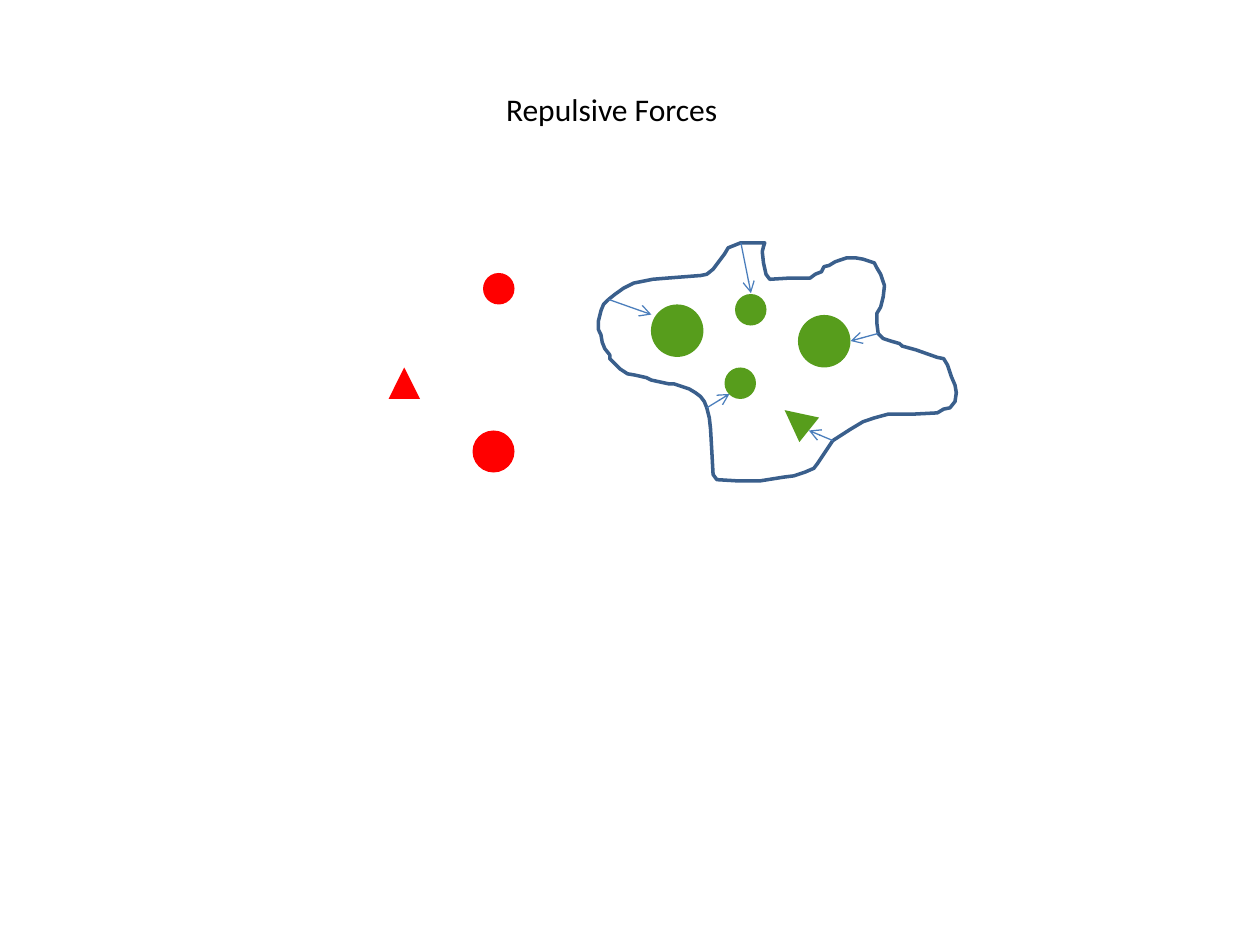
from dataclasses import dataclass

from lxml import etree
from pptx import Presentation
from pptx import util as u
from pptx.dml.color import RGBColor
from pptx.enum import shapes, text
from pptx.oxml.ns import qn

CELL = u.Inches(1) / 12
OVAL = shapes.MSO_SHAPE.OVAL
TRIANGLE = shapes.MSO_SHAPE.ISOSCELES_TRIANGLE


@dataclass(frozen=True)
class Theme:
    """Colours, font and sizes of the slide."""
    ink: RGBColor = RGBColor(0, 0, 0)
    outside: RGBColor = RGBColor(0xFF, 0, 0)
    inside: RGBColor = RGBColor(0x57, 0x9D, 0x1C)
    contour: RGBColor = RGBColor(0x3A, 0x5F, 0x8C)
    force: RGBColor = RGBColor(0x4B, 0x7E, 0xBC)
    font: str = "Calibri"
    title_size: u.Pt = u.Pt(18)
    contour_width: u.Pt = u.Pt(2)
    force_width: u.Pt = u.Pt(0.75)


@dataclass(frozen=True)
class Box:
    """A region in columns and rows of the slide grid."""
    column: float
    row: float
    columns: float
    rows: float

    def place(self, column, row):
        """Return the slide position of a cell within the box."""
        return round((self.column + column) * CELL), round((self.row + row) * CELL)


THEME = Theme()
TITLE_BOX = Box(47, 8, 22.8, 8.5)
OUTSIDE_BOX = Box(37, 26, 12, 19)
CONTOUR_BOX = Box(57, 23, 34, 23)
UNITS_PER_CELL = 100 / 12

OUTSIDE_MARKS = [
    (OVAL, 9, 0, 3, 0),
    (OVAL, 8, 15, 4, 0),
    (TRIANGLE, 0, 9, 3, 0),
]
INSIDE_MARKS = [
    (OVAL, 12, 12, 3, 0),
    (OVAL, 5, 6, 5, 0),
    (TRIANGLE, 17.4, 15.5, 3, 308.7),
    (OVAL, 13, 5, 3, 0),
    (OVAL, 19, 7, 5, 0),
]
CONTOUR = [
    (132, 1), (131, 4), (130, 8), (131, 17), (133, 26), (136, 30), (152, 29),
    (168, 29), (172, 26), (177, 24), (179, 20), (183, 19), (188, 16), (197, 13),
    (204, 13), (210, 14), (219, 17), (221, 21), (224, 26), (227, 35), (226, 44),
    (224, 52), (221, 57), (221, 65), (222, 73), (226, 77), (232, 79), (239, 81),
    (241, 83), (252, 86), (269, 92), (274, 93), (277, 98), (280, 107), (283, 114),
    (284, 120), (283, 127), (279, 132), (274, 133), (269, 136), (250, 137),
    (230, 137), (219, 140), (210, 143), (200, 149), (186, 158), (174, 176),
    (171, 180), (164, 183), (155, 186), (147, 187), (128, 190), (111, 190),
    (94, 189), (91, 185), (90, 167), (89, 149), (88, 140), (86, 132), (84, 127),
    (81, 123), (77, 120), (72, 117), (60, 113), (56, 113), (42, 110), (38, 108),
    (29, 106), (23, 105), (17, 101), (13, 97), (9, 93), (9, 90), (5, 85), (3, 80),
    (2, 74), (0, 70), (0, 63), (2, 55), (4, 50), (8, 46), (13, 42), (20, 37),
    (28, 33), (33, 32), (43, 30), (55, 29), (81, 27), (86, 26), (91, 22), (97, 14),
    (100, 10), (103, 5), (108, 3), (113, 1), (123, 1),
]
FORCES = [
    ((113, 1), (121, 41)),
    ((8, 46), (42, 58)),
    ((86, 132), (104, 121)),
    ((186, 158), (167, 150)),
    ((222, 73), (200, 79)),
]


def add_title(slide, box, words):
    """Place the title placeholder in its box."""
    title = slide.shapes.title
    title.left, title.top = box.place(0, 0)
    title.width, title.height = round(box.columns * CELL), round(box.rows * CELL)
    frame = title.text_frame
    frame.text = words
    frame.word_wrap = False
    frame.auto_size = text.MSO_AUTO_SIZE.NONE
    frame.vertical_anchor = text.MSO_ANCHOR.TOP
    paragraph = frame.paragraphs[0]
    paragraph.alignment = text.PP_ALIGN.LEFT
    font = paragraph.runs[0].font
    font.name, font.size = THEME.font, THEME.title_size
    font.color.rgb = THEME.ink


def add_marks(group, box, marks, color):
    """Place solid marks on the cells of a box."""
    for kind, column, row, size, rotation in marks:
        side = round(size * CELL)
        mark = group.shapes.add_shape(kind, *box.place(column, row), side, side)
        mark.rotation = rotation
        mark.shadow.inherit = False
        mark.fill.solid()
        mark.fill.fore_color.rgb = color
        mark.line.fill.background()


def add_contour(group, box):
    """Draw the closed outline within a box."""
    builder = group.shapes.build_freeform(*CONTOUR[0], scale=CELL / UNITS_PER_CELL)
    builder.add_line_segments(CONTOUR[1:], close=True)
    contour = builder.convert_to_shape(*box.place(0, 0))
    contour.shadow.inherit = False
    contour.fill.background()
    contour.line.color.rgb = THEME.contour
    contour.line.width = THEME.contour_width


def add_forces(group, box):
    """Draw arrows from the outline towards the marks inside it."""
    for force in FORCES:
        start, end = [box.place(x / UNITS_PER_CELL, y / UNITS_PER_CELL) for x, y in force]
        arrow = group.shapes.add_connector(shapes.MSO_CONNECTOR.STRAIGHT, *start, *end)
        arrow.line.color.rgb = THEME.force
        arrow.line.width = THEME.force_width
        properties = arrow._element.spPr
        etree.SubElement(properties.find(qn("a:ln")), qn("a:tailEnd"), type="arrow")
        etree.SubElement(properties, qn("a:effectLst"))


def main():
    """Build and save the slide."""
    presentation = Presentation()
    presentation.slide_width, presentation.slide_height = u.Inches(10), u.Inches(7.5)
    slide = presentation.slides.add_slide(presentation.slide_layouts.get_by_name("Title Only"))
    add_title(slide, TITLE_BOX, "Repulsive Forces")
    diagram = slide.shapes.add_group_shape()
    add_contour(diagram, CONTOUR_BOX)
    add_marks(diagram, OUTSIDE_BOX, OUTSIDE_MARKS, THEME.outside)
    add_marks(diagram, CONTOUR_BOX, INSIDE_MARKS, THEME.inside)
    add_forces(diagram, CONTOUR_BOX)
    presentation.save("out.pptx")


if __name__ == "__main__":
    main()
